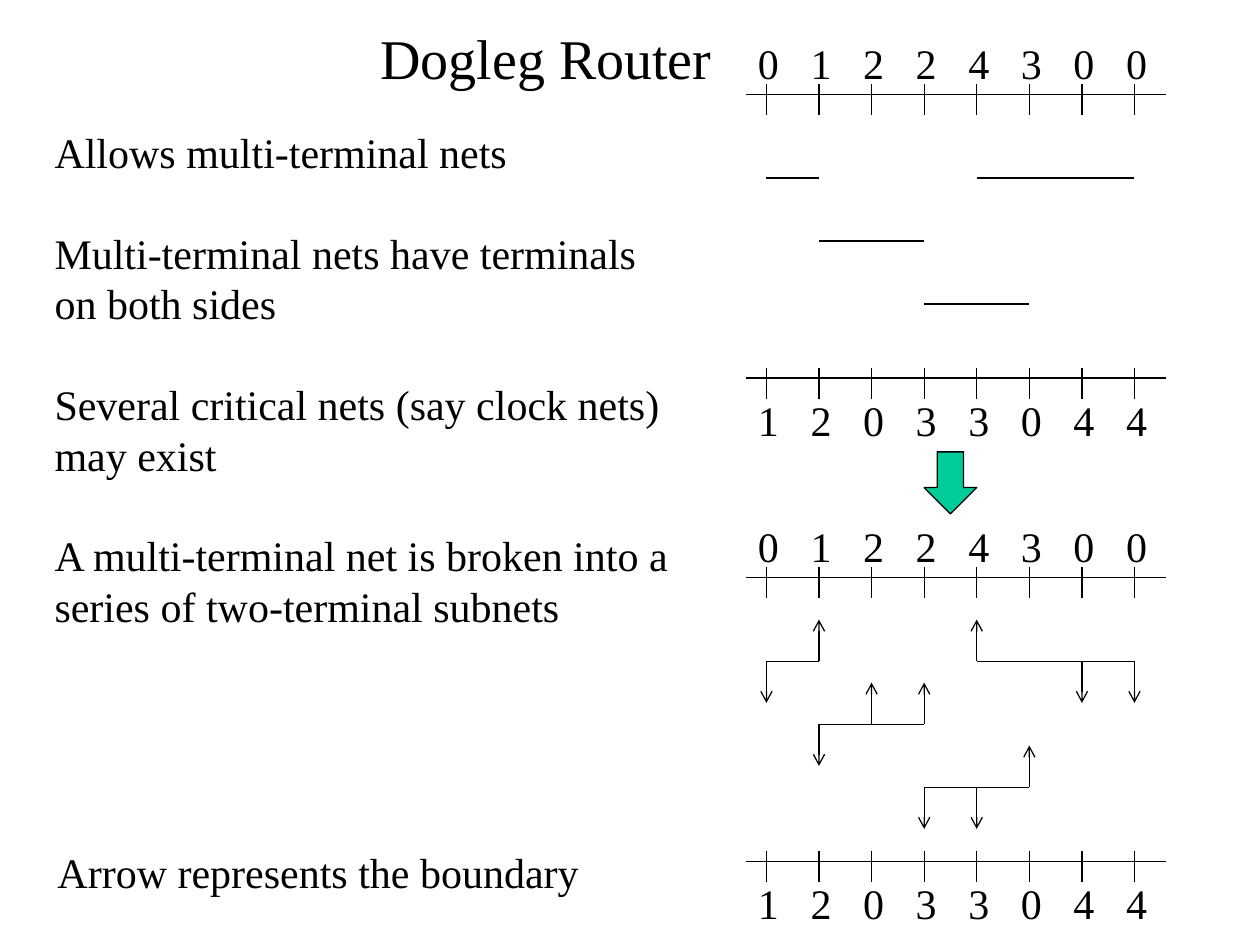
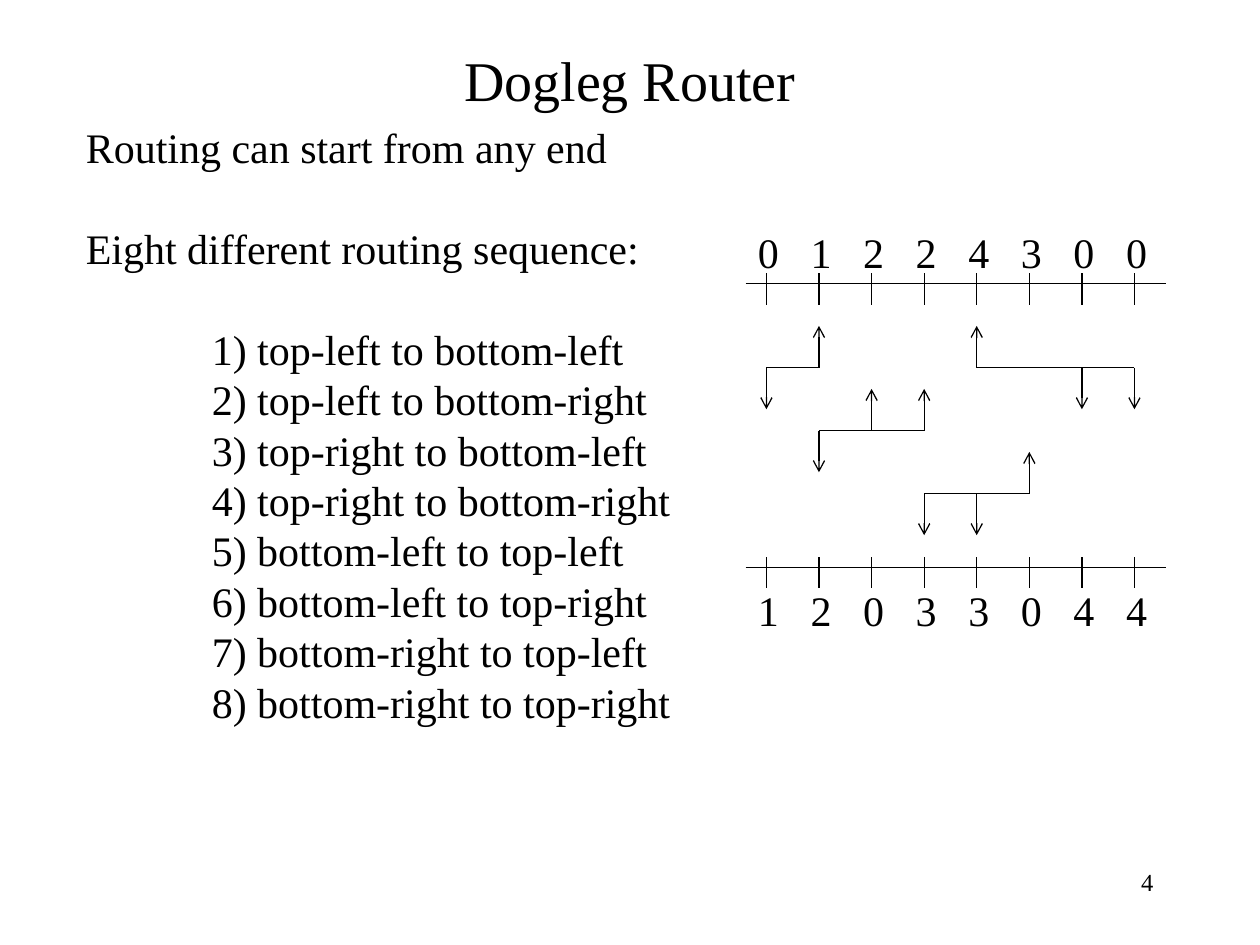
from itertools import pairwise

from lxml.etree import SubElement
from pptx import Presentation
from pptx.dml.color import RGBColor
from pptx.enum.shapes import MSO_CONNECTOR as CONN, MSO_SHAPE as SHAPE
from pptx.enum.text import MSO_ANCHOR as ANCHOR, PP_ALIGN as ALIGN
from pptx.oxml.ns import qn
from pptx.util import Cm, Pt

TITLE = "Dogleg Router"
FEATURES = [
    "Allows multi-terminal nets",
    "Multi-terminal nets have terminals on both sides",
    "Several critical nets (say clock nets) may exist",
    "A multi-terminal net is broken into a series of two-terminal subnets",
]
ARROW_NOTE = "Arrow represents the boundary"
ROUTING = ["Routing can start from any end", "Eight different routing sequence:"]
SEQUENCES = [
    "1) top-left to bottom-left",
    "2) top-left to bottom-right",
    "3) top-right to bottom-left",
    "4) top-right to bottom-right",
    "5) bottom-left to top-left",
    "6) bottom-left to top-right",
    "7) bottom-right to top-left",
    "8) bottom-right to top-right",
]
TOP_PINS = [0, 1, 2, 2, 4, 3, 0, 0]
BOTTOM_PINS = [1, 2, 0, 3, 3, 0, 4, 4]
NET_TRACKS = {1: 0, 2: 1, 3: 2, 4: 0}

FONT, BLACK, GREEN = "Times New Roman", "000000", "00CC99"
BLANK_LINE = 28.8
RAIL_X, RAIL_W = 15.03, 8.47
PIN_X, PITCH = 15.45, 1.06
CHANNEL_H, FIRST_TRACK, TRACK_GAP = 5.72, 1.69, 1.27
TICK_UP, TICK_DOWN, ARROW = 0.21, 0.42, 0.84
LABEL_H = 1.27


def rgb(color):
    return RGBColor.from_string(color)


def add_text(slide, text, x, y, w, h, size=24, align=ALIGN.LEFT,
             anchor=ANCHOR.TOP, wrap=True, gap=0, tab=0):
    """text is a string or a list of strings or (string, gap, indent) tuples."""
    tf = slide.shapes.add_textbox(Cm(x), Cm(y), Cm(w), Cm(h)).text_frame
    tf.word_wrap, tf.vertical_anchor = wrap, anchor
    for i, item in enumerate([text] if isinstance(text, str) else text):
        line, before, indent = (item, gap, 0) if isinstance(item, str) else item
        p = tf.paragraphs[0] if i == 0 else tf.add_paragraph()
        p.alignment = align
        pPr = p._p.get_or_add_pPr()
        if indent:
            pPr.set("marL", str(Cm(indent)))
        if i and before:
            p.space_before = Pt(before)
        if tab:
            tabs = SubElement(pPr, qn("a:tabLst"))
            for n in range(1, line.count("\t") + 1):
                SubElement(tabs, qn("a:tab"), pos=str(Cm(n * tab)), algn="l")
        r = p.add_run()
        r.text = line
        r.font.name, r.font.size = FONT, Pt(size)
        r.font.color.rgb = rgb(BLACK)


def add_line(slide, x1, y1, x2, y2, arrow=False):
    sp = slide.shapes.add_connector(CONN.STRAIGHT, Cm(x1), Cm(y1), Cm(x2), Cm(y2))
    sp.line.color.rgb, sp.line.width = rgb(BLACK), Pt(0.75)
    if arrow:
        SubElement(sp.line._get_or_add_ln(), qn("a:tailEnd"), type="arrow")
    SubElement(sp._element.spPr, qn("a:effectLst"))


def pin_x(column):
    return PIN_X + column * PITCH


def add_rail(slide, y, pins, label_y):
    add_line(slide, RAIL_X, y, RAIL_X + RAIL_W, y)
    for column in range(len(pins)):
        add_line(slide, pin_x(column), y - TICK_UP, pin_x(column), y + TICK_DOWN)
    add_text(slide, "\t".join(map(str, pins)), RAIL_X, label_y, RAIL_W, LABEL_H,
             tab=PITCH)


def add_channel(slide, y, arrows):
    bottom = y + CHANNEL_H
    add_rail(slide, y, TOP_PINS, y - LABEL_H)
    add_rail(slide, bottom, BOTTOM_PINS, bottom + TICK_UP)
    for net, track in NET_TRACKS.items():
        track_y = y + FIRST_TRACK + track * TRACK_GAP
        ends = [(c, -ARROW) for c, pin in enumerate(TOP_PINS) if pin == net]
        ends += [(c, ARROW) for c, pin in enumerate(BOTTOM_PINS) if pin == net]
        ends.sort()
        for (left, _), (right, _) in pairwise(ends):
            add_line(slide, pin_x(left), track_y, pin_x(right), track_y)
        if arrows:
            for column, reach in ends:
                x = pin_x(column)
                add_line(slide, x, track_y, x, track_y + reach, arrow=True)


def add_slide(prs, x, y, w, h):
    slide = prs.slides.add_slide(prs.slide_layouts[6])
    add_text(slide, TITLE, x, y, w, h, size=32, align=ALIGN.CENTER,
             anchor=ANCHOR.MIDDLE)
    return slide


def build_subnets(prs):
    slide = add_slide(prs, 5.5, 0.21, 11.02, 1.9)
    add_text(slide, FEATURES, 0.85, 2.43, 13.12, 11.43, gap=BLANK_LINE)
    add_channel(slide, 1.9, arrows=False)
    add_channel(slide, 11.64, arrows=True)
    sp = slide.shapes.add_shape(SHAPE.DOWN_ARROW, Cm(18.63), Cm(9.11), Cm(1.06), Cm(1.25))
    sp.shadow.inherit = False
    sp.fill.solid()
    sp.fill.fore_color.rgb = rgb(GREEN)
    sp.line.color.rgb, sp.line.width = rgb(BLACK), Pt(0.75)
    add_text(slide, ARROW_NOTE, 0.91, 16.93, 11.02, LABEL_H, wrap=False)


def build_sequences(prs):
    slide = add_slide(prs, 1.9, 0.85, 21.6, 1.48)
    lines = ROUTING + [(s, 0 if i else BLANK_LINE, 2.54)
                       for i, s in enumerate(SEQUENCES)]
    add_text(slide, lines, 1.48, 2.33, 13.12, 12.45, gap=BLANK_LINE)
    add_channel(slide, 5.72, arrows=True)
    add_text(slide, "4", 18.2, 17.36, 5.3, LABEL_H, size=14, align=ALIGN.RIGHT)


def main():
    prs = Presentation()
    prs.slide_width, prs.slide_height = Cm(25.4), Cm(19.05)
    build_subnets(prs)
    build_sequences(prs)
    prs.save("out.pptx")


if __name__ == "__main__":
    main()
